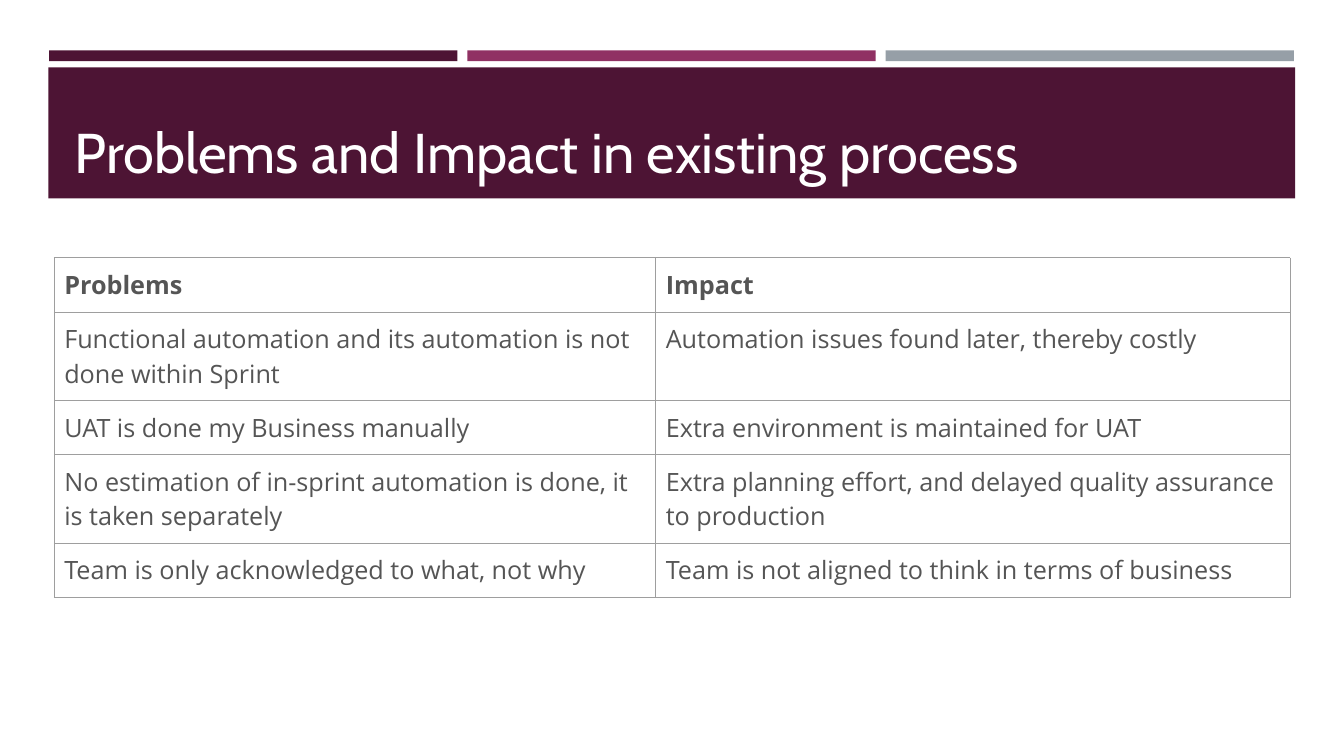
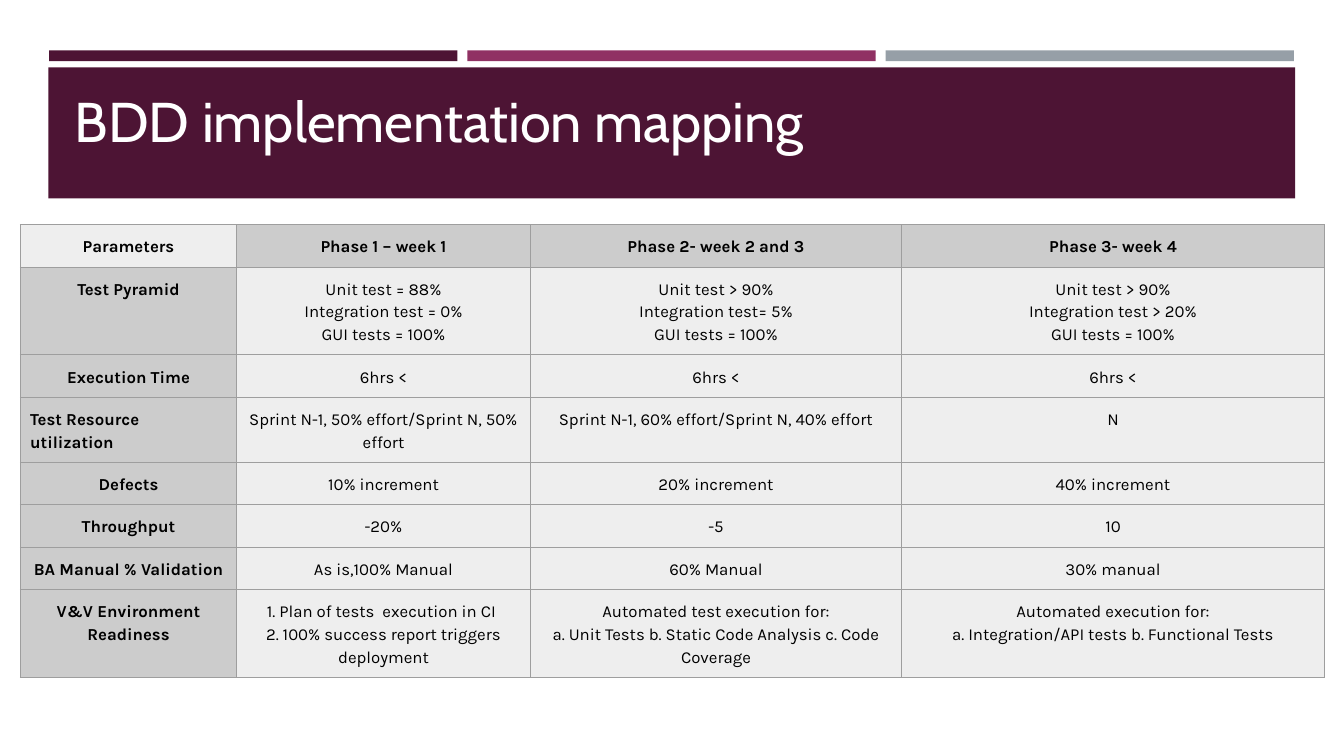
from dataclasses import dataclass

import pptx
import pptx.dml.color
import pptx.enum.shapes
import pptx.enum.text
import pptx.oxml
import pptx.oxml.ns
import pptx.util
from pptx.util import Cm

Align = pptx.enum.text.PP_ALIGN


@dataclass(frozen=True)
class Theme:
    plum: str = "4D1434"
    magenta: str = "903163"
    steel: str = "969FA7"
    white: str = "FFFFFF"
    grid: str = "9E9E9E"
    body: str = "555555"
    black: str = "000000"
    header_fill: str = "CCCCCC"
    value_fill: str = "EEEEEE"
    title_font: str = "Cabin"
    problem_font: str = "Open Sans"
    mapping_font: str = "Karla"
    title_size: float = 40
    problem_size: float = 18
    mapping_size: float = 12
    grid_width: float = 0.75


THEME = Theme()

PROBLEMS_TITLE = "Problems and Impact in existing process"
PROBLEMS = [
    ("Problems", "Impact"),
    ("Functional automation and its automation is not done within Sprint",
     "Automation issues found later, thereby costly"),
    ("UAT is done my Business manually", "Extra environment is maintained for UAT"),
    ("No estimation of in-sprint automation is done, it is taken separately",
     "Extra planning effort, and delayed quality assurance to production"),
    ("Team is only acknowledged to what, not why",
     "Team is not aligned to think in terms of business"),
]
PROBLEM_COLUMNS = (15.16, 15.98)
PROBLEM_ROWS = (1.35, 2.2, 1.35, 2.2, 1.35)

MAPPING_TITLE = "BDD implementation mapping"
MAPPING = [
    ("Parameters", "Phase 1 – week 1", "Phase 2- week 2 and 3", "Phase 3- week 4"),
    ("Test Pyramid",
     "Unit test = 88%\nIntegration test = 0%\nGUI tests = 100%",
     "Unit test > 90%\nIntegration test= 5%\nGUI tests = 100%",
     "Unit test > 90%\nIntegration test > 20%\nGUI tests = 100%"),
    ("Execution Time", "6hrs <", "6hrs <", "6hrs <"),
    ("Test Resource utilization",
     "Sprint N-1, 50% effort/Sprint N, 50% effort",
     "Sprint N-1, 60% effort/Sprint N, 40% effort", "N"),
    ("Defects", "10% increment", "20% increment", "40% increment"),
    ("Throughput", "-20%", "-5", "10"),
    ("BA Manual % Validation", "As is,100% Manual", "60% Manual", "30% manual"),
    ("V&V Environment Readiness",
     "1. Plan of tests  execution in CI \n2. 100% success report triggers deployment",
     "Automated test execution for:\n"
     "a. Unit Tests b. Static Code Analysis c. Code Coverage",
     "Automated execution for:\na. Integration/API tests b. Functional Tests"),
]
MAPPING_COLUMNS = (5.46, 7.39, 9.37, 10.64)
MAPPING_ROWS = (1.07, 2.2, 1.07, 1.6, 1.07, 1.07, 1.07, 2.2)
LEFT_ALIGNED = {"Test Resource utilization"}


def rgb(color):
    return pptx.dml.color.RGBColor.from_string(color)


def write(frame, text, *, font, size, color, bold=False, align=Align.LEFT, spacing=None):
    """Fill a text frame, one paragraph for each line of text."""
    frame.word_wrap = True
    frame.text = text
    for paragraph in frame.paragraphs:
        paragraph.alignment = align
        paragraph.line_spacing = spacing
        for run in paragraph.runs:
            run.font.name = font
            run.font.size = pptx.util.Pt(size)
            run.font.bold = bold
            run.font.color.rgb = rgb(color)


def set_up_layout(layout, slide):
    """Draw the bands on a slide, then move them behind the layout's title."""
    left, width, gap = 1.24, 10.29, 0.25
    bands = [(left + i * (width + gap), 1.27, width, 0.27, color)
             for i, color in enumerate((THEME.plum, THEME.magenta, THEME.steel))]
    bands.append((1.22, 1.7, 31.42, 3.3, THEME.plum))
    for i, (*box, color) in enumerate(bands):
        band = slide.shapes.add_shape(
            pptx.enum.shapes.MSO_SHAPE.RECTANGLE, *map(Cm, box))
        band.shadow.inherit = False
        band.fill.solid()
        band.fill.fore_color.rgb = rgb(color)
        band.line.fill.background()
        band.element.xpath(".//p:cNvPr")[0].set("id", str(100 + i))
        layout.shapes.element.insert(2 + i, band.element)


def set_title(slide, text, height):
    title = slide.shapes.title
    title.left, title.top, title.width, title.height = map(Cm, (1.63, 1.96, 30.63, height))
    write(title.text_frame, text, font=THEME.title_font, size=THEME.title_size,
          color=THEME.white)
    title.text_frame.auto_size = pptx.enum.text.MSO_AUTO_SIZE.NONE
    title.text_frame.vertical_anchor = pptx.enum.text.MSO_ANCHOR.BOTTOM


def add_borders(cell):
    properties = cell._tc.get_or_add_tcPr()
    for side in ("lnL", "lnR", "lnT", "lnB"):
        properties.append(pptx.oxml.parse_xml(
            f'<a:{side} {pptx.oxml.ns.nsdecls("a")} w="{pptx.util.Pt(THEME.grid_width)}">'
            f'<a:solidFill><a:srgbClr val="{THEME.grid}"/></a:solidFill></a:{side}>'))


def add_grid(slide, left, top, columns, rows, content, style):
    """Add a table; style(row, column, text) gives a cell's fill and text format."""
    table = slide.shapes.add_table(
        len(rows), len(columns), Cm(left), Cm(top), Cm(sum(columns)), Cm(sum(rows))).table
    table.first_row = table.horz_banding = False
    for column, width in zip(table.columns, columns):
        column.width = Cm(width)
    for r, (row, height) in enumerate(zip(table.rows, rows)):
        row.height = Cm(height)
        for c, text in enumerate(content[r]):
            cell = table.cell(r, c)
            cell.margin_left = cell.margin_right = Cm(0.25)
            cell.margin_top = cell.margin_bottom = Cm(0.25)
            add_borders(cell)
            fill, text_format = style(r, c, text)
            if fill:
                cell.fill.solid()
                cell.fill.fore_color.rgb = rgb(fill)
            else:
                cell.fill.background()
            write(cell.text_frame, text, **text_format)


def problem_style(row, column, text):
    return None, dict(font=THEME.problem_font, size=THEME.problem_size,
                      color=THEME.body, bold=row == 0)


def mapping_style(row, column, text):
    is_header = row == 0 or column == 0
    is_corner = row == column == 0
    fill = THEME.header_fill if is_header and not is_corner else THEME.value_fill
    return fill, dict(font=THEME.mapping_font, size=THEME.mapping_size,
                      color=THEME.black, bold=is_header, spacing=1.15,
                      align=Align.LEFT if text in LEFT_ALIGNED else Align.CENTER)


def main():
    deck = pptx.Presentation()
    deck.slide_width, deck.slide_height = Cm(33.87), Cm(19.05)
    title_only = deck.slide_layouts[5]

    problems = deck.slides.add_slide(title_only)
    set_up_layout(title_only, problems)
    set_title(problems, PROBLEMS_TITLE, 2.82)
    add_grid(problems, 1.37, 6.5, PROBLEM_COLUMNS, PROBLEM_ROWS, PROBLEMS, problem_style)

    mapping = deck.slides.add_slide(title_only)
    set_title(mapping, MAPPING_TITLE, 2.03)
    add_grid(mapping, 0.51, 5.66, MAPPING_COLUMNS, MAPPING_ROWS, MAPPING, mapping_style)

    deck.save("out.pptx")


if __name__ == "__main__":
    main()
